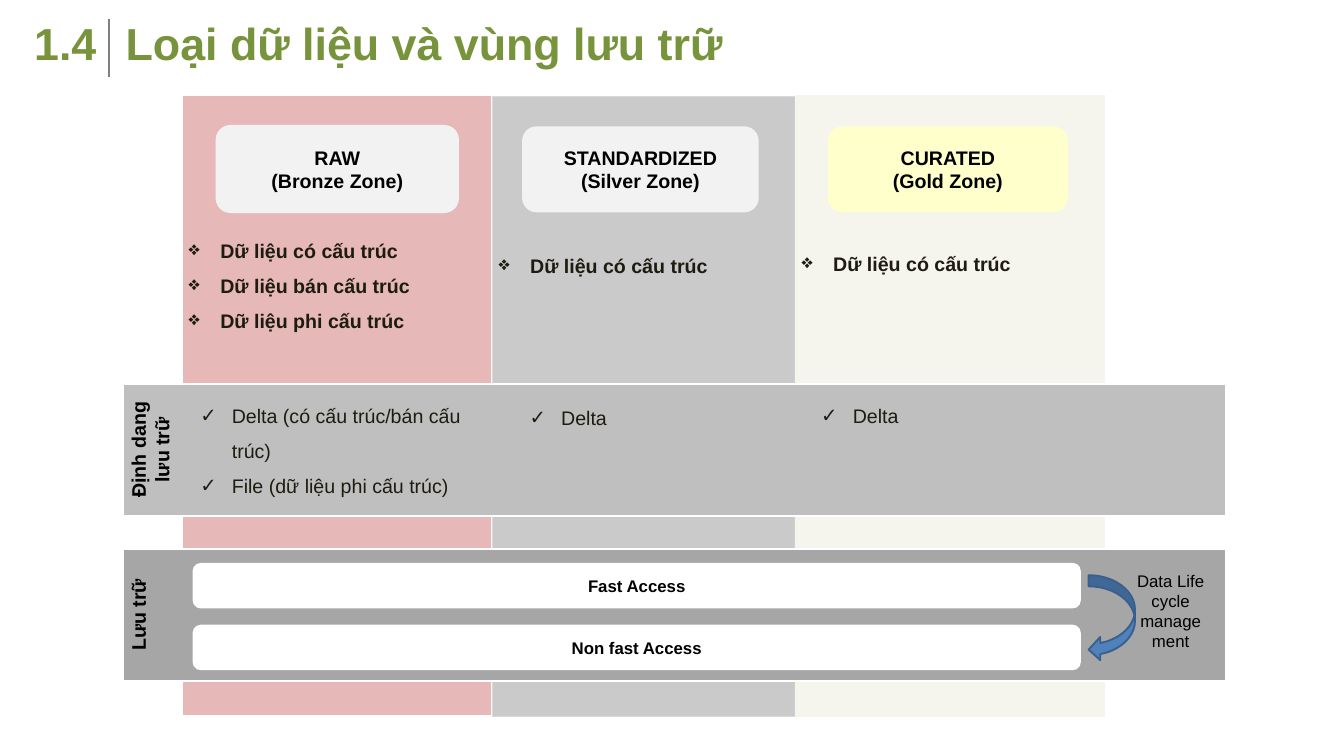
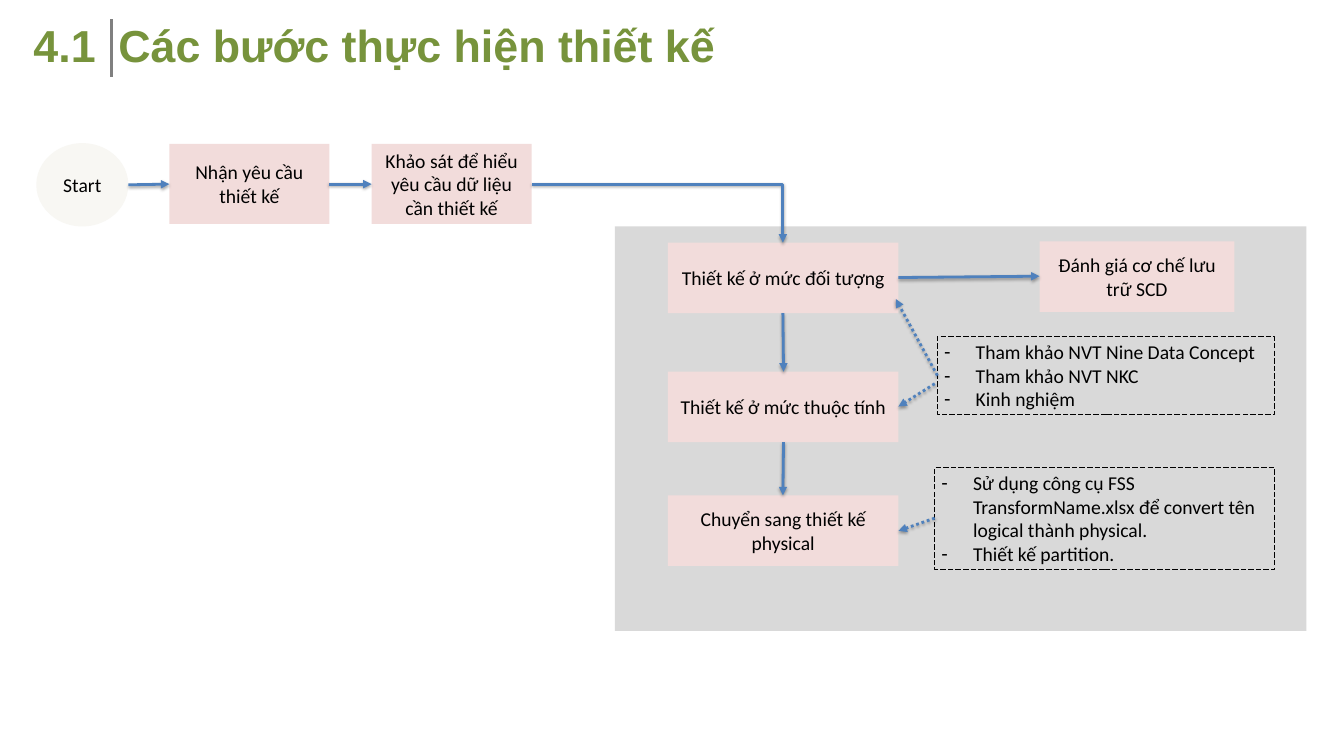
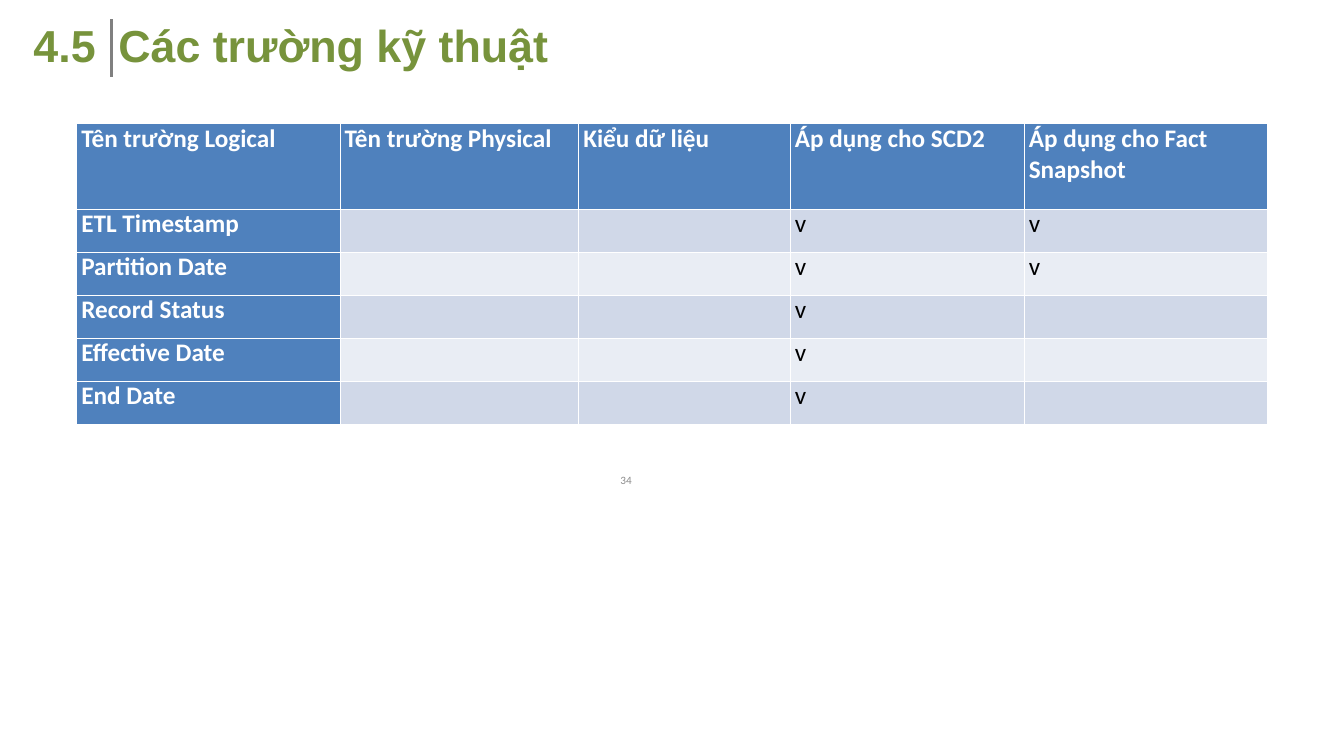
"""Build three slides on data zones, design steps and technical fields."""
from pptx import Presentation
from pptx import util as u
from pptx.dml.color import RGBColor
from pptx.enum import dml, shapes, text
from pptx.oxml import parse_xml
from pptx.oxml.ns import nsdecls, qn

rgb = RGBColor.from_string
MSO, CON = shapes.MSO_SHAPE, shapes.MSO_CONNECTOR
TOP, MIDDLE = text.MSO_ANCHOR.TOP, text.MSO_ANCHOR.MIDDLE
LEFT, CENTER, RIGHT = text.PP_ALIGN.LEFT, text.PP_ALIGN.CENTER, text.PP_ALIGN.RIGHT
GREEN, BLUE, BLACK, WHITE, INK = "77933C", "4F81BD", "000000", "FFFFFF", "1E1C11"
PINK, GREY = "F2DCDB", "808080"

prs = Presentation()
prs.slide_width, prs.slide_height = u.Inches(20), u.Inches(11.25)
unit = prs.slide_width // 20


def draw(s, kind, at, fill=None, line=None, width=2):
    """Add a shape, or a text box if kind is None, placed in grid units."""
    at = [int(v * unit) for v in at]
    if kind is None:
        return s.shapes.add_textbox(*at)
    sp = s.shapes.add_shape(kind, *at)
    sp.shadow.inherit = False
    sp.fill.background()
    sp.line.fill.background()
    if fill:
        sp.fill.solid()
        sp.fill.fore_color.rgb = rgb(fill)
    if line:
        sp.line.color.rgb = rgb(line)
        sp.line.width = u.Pt(width)
    return sp


def write(tf, words, size=21, font="Arial", color=BLACK, bold=False, align=CENTER,
          anchor=MIDDLE, bullet=None, spacing=1.0, inset=(0.1, 0.05)):
    """Fill a text frame and format its paragraphs."""
    tf.text = words
    tf.word_wrap, tf.auto_size = True, text.MSO_AUTO_SIZE.NONE
    tf.vertical_anchor = anchor
    tf.margin_left = tf.margin_right = int(inset[0] * unit)
    tf.margin_top = tf.margin_bottom = int(inset[1] * unit)
    for p in tf.paragraphs:
        p.alignment, p.line_spacing, p.space_before = align, spacing, u.Pt(0)
        if bullet:
            pPr = p._p.get_or_add_pPr()
            pPr.set("marL", str(int(0.47 * unit)))
            pPr.set("indent", str(int(-0.47 * unit)))
            pPr.append(parse_xml(f'<a:buChar {nsdecls("a")} char="{bullet}"/>'))
        for r in p.runs:
            r.font.size, r.font.name, r.font.bold = u.Pt(size), font, bold
            r.font.color.rgb = rgb(color)


slides = []
for layout, number, title, num_x, title_x, rule_x, y in [
        (4, "1.4", "Loại dữ liệu và vùng lưu trữ", 0.41, 1.77, 1.62, 0.18),
        (3, "4.1", "Các bước thực hiện thiết kế", 0.4, 1.66, 1.66, 0.22),
        (5, "4.5", "Các trường kỹ thuật", 0.4, 1.66, 1.66, 0.22)]:
    s = prs.slides.add_slide(prs.slide_layouts[layout])
    sp = s.shapes.title
    sp.left, sp.top, sp.width, sp.height = (int(v * unit) for v in (title_x, y, 18, 0.91))
    heading = dict(size=48, color=GREEN, bold=True, align=LEFT, anchor=TOP)
    write(sp.text_frame, title, **heading)
    write(draw(s, None, (num_x, y, 1.14, 0.91)).text_frame, number, **heading)
    rule = s.shapes.add_connector(CON.STRAIGHT, *(int(v * unit) for v in (rule_x, 0.29, rule_x, 1.15)))
    rule.line.color.rgb, rule.line.width = rgb(GREY), u.Pt(2.25)
    rule._element.spPr.append(parse_xml(f'<a:effectLst {nsdecls("a")}/>'))
    slides.append(s)
zones, steps, fields = slides

for at, fill, edge, width, name, badge, badge_fill, kinds, drop in [
        ((2.71, 1.41, 4.61, 9.24), "E6B9B8", WHITE, 2, "RAW\n(Bronze Zone)", (3.21, 1.86, 3.62, 1.31),
         "F2F2F2", "Dữ liệu có cấu trúc\nDữ liệu bán cấu trúc\nDữ liệu phi cấu trúc", 1.97),
        ((7.32, 1.43, 4.51, 9.23), "CACACA", "D9D9D9", 0.75, "STANDARDIZED\n(Silver Zone)",
         (7.77, 1.88, 3.52, 1.28), "F2F2F2", "Dữ liệu có cấu trúc", 2.18),
        ((11.83, 1.42, 4.61, 9.24), "F5F4ED", "F5F4ED", 0.75, "CURATED\n(Gold Zone)",
         (12.32, 1.88, 3.57, 1.28), "FFFFCC", "Dữ liệu có cấu trúc", 2.15)]:
    tf = draw(zones, MSO.RECTANGLE, at, fill, edge, width).text_frame
    write(tf, kinds, color=INK, bold=True, align=LEFT, anchor=TOP, bullet="❖", spacing=1.5)
    tf.margin_top = int(drop * unit)
    sp = draw(zones, MSO.ROUNDED_RECTANGLE, badge, badge_fill)
    write(sp.text_frame, name, bold=True, inset=(0.15, 0.07))

for name, y, height, fill in [("Lưu trữ", 8.17, 1.96, "A6A6A6"), ("Định dang lưu trữ", 5.71, 1.97, "BFBFBF")]:
    sp = draw(zones, MSO.ROUNDED_RECTANGLE, (1.83, y, 16.41, height), fill, WHITE)
    sp.adjustments[0] = 0
    write(sp.text_frame, name, bold=True, anchor=TOP)
    sp.text_frame._txBody.bodyPr.set("vert", "vert270")
for name, y in [("Fast Access", 8.39), ("Non fast Access", 9.31)]:
    sp = draw(zones, MSO.ROUNDED_RECTANGLE, (2.88, y, 13.19, 0.65), WHITE, WHITE)
    write(sp.text_frame, name, size=18, bold=True)

formats = list(zones.placeholders)[1:]
for sp, at, words in zip(formats, [(2.88, 5.78, 4.5, 1.63), (7.78, 5.81, 2.6, 0.57), (12.12, 5.79, 2.6, 0.57)],
                         ["Delta (có cấu trúc/bán cấu trúc)\nFile (dữ liệu phi cấu trúc)", "Delta", "Delta"]):
    sp.left, sp.top, sp.width, sp.height = (int(v * unit) for v in at)
    write(sp.text_frame, words, color=INK, align=LEFT, anchor=TOP, bullet="✓", spacing=1.5)
    zones.shapes._spTree.append(sp._element)
formats[3]._element.getparent().remove(formats[3]._element)

write(draw(zones, None, (16.81, 8.44, 1.22, 1.31)).text_frame, "Data Life cycle\nmanagement", size=18, anchor=TOP)
sp = draw(zones, MSO.CURVED_LEFT_ARROW, (16.2, 8.56, 0.69, 1.28), BLUE, "3A5F8C")
sp.adjustments[0], sp.adjustments[1], sp.adjustments[2] = 0.24, 0.5, 0.25

draw(steps, MSO.RECTANGLE, (9.15, 3.37, 10.29, 6.02), "D9D9D9")
sp = draw(steps, MSO.OVAL, (0.54, 2.13, 1.37, 1.24), "F8F7F3")
write(sp.text_frame, "Start", font="Calibri")
for at, words in [
        ((2.52, 2.14, 2.38, 1.19), "Nhận yêu cầu thiết kế"),
        ((5.53, 2.14, 2.38, 1.19), "Khảo sát để hiểu yêu cầu dữ liệu cần thiết kế"),
        ((9.94, 3.61, 3.43, 1.05), "Thiết kế ở mức đối tượng"),
        ((9.94, 5.53, 3.43, 1.05), "Thiết kế ở mức thuộc tính"),
        ((9.94, 7.37, 3.43, 1.05), "Chuyển sang thiết kế physical"),
        ((15.47, 3.59, 2.9, 1.05), "Đánh giá cơ chế lưu trữ SCD")]:
    sp = draw(steps, MSO.RECTANGLE, at, PINK)
    write(sp.text_frame, words, font="Calibri", inset=(0.15, 0.07))

for sp, at, words in zip(list(steps.placeholders)[1:], [(13.95, 5.01, 5.02, 1.16), (13.91, 6.96, 5.06, 1.51)], [
        "Tham khảo NVT Nine Data Concept\nTham khảo NVT NKC\nKinh nghiệm",
        "Sử dụng công cụ FSS TransformName.xlsx để convert tên logical thành physical.\nThiết kế partition."]):
    sp.left, sp.top, sp.width, sp.height = (int(v * unit) for v in at)
    sp.line.color.rgb, sp.line.width = rgb(BLACK), u.Pt(0.75)
    sp.line.dash_style = dml.MSO_LINE.LONG_DASH
    write(sp.text_frame, words, font="Calibri", align=LEFT, anchor=TOP, bullet="-")
    steps.shapes._spTree.append(sp._element)

SHADOW = (f'<a:effectLst {nsdecls("a")}><a:outerShdw blurRad="40000" dist="23000" dir="5400000" rotWithShape="0">'
          '<a:srgbClr val="000000"><a:alpha val="35000"/></a:srgbClr></a:outerShdw></a:effectLst>')
for ends, style in [
        ((1.91, 2.75, 2.52, 2.74), "solid"), ((4.9, 2.74, 5.53, 2.74), "solid"),
        ((7.92, 2.74, 11.65, 3.61), "bent"), ((11.65, 4.66, 11.66, 5.53), "solid"),
        ((11.66, 6.58, 11.65, 7.37), "solid"), ((13.37, 4.13, 15.47, 4.11), "solid"),
        ((13.95, 5.59, 13.33, 4.45), "dotted"), ((13.91, 5.71, 13.37, 6.05), "dotted"),
        ((13.91, 7.71, 13.37, 7.9), "dotted")]:
    arrow = steps.shapes.add_connector(CON.STRAIGHT, *(int(v * unit) for v in ends))
    arrow.line.color.rgb, arrow.line.width = rgb(BLUE), u.Pt(3)
    spPr = arrow._element.spPr
    if style == "bent":
        spPr.find(qn("a:prstGeom")).set("prst", "bentConnector2")
    if style == "dotted":
        arrow.line.dash_style = dml.MSO_LINE.ROUND_DOT
    spPr.find(qn("a:ln")).append(parse_xml(f'<a:tailEnd {nsdecls("a")} type="triangle"/>'))
    spPr.append(parse_xml(SHADOW))

rows = [
    ["Tên trường Logical", "Tên trường Physical", "Kiểu dữ liệu", "Áp dụng cho SCD2", "Áp dụng cho Fact Snapshot"],
    ["ETL Timestamp", "", "", "v", "v"],
    ["Partition Date", "", "", "v", "v"],
    ["Record Status", "", "", "v", ""],
    ["Effective Date", "", "", "v", ""],
    ["End Date", "", "", "v", ""]]
table = fields.shapes.add_table(6, 5, *(int(v * unit) for v in (1.14, 1.84, 17.72, 4.47))).table
table.first_col = True
for column, width in zip(table.columns, [3.92, 3.55, 3.15, 3.48, 3.62]):
    column.width = int(width * unit)
for i, row in enumerate(rows):
    table.rows[i].height = int((0.64 if i else 1.27) * unit)
    for j, words in enumerate(row):
        cell = table.cell(i, j)
        head = i == 0 or j == 0
        cell.fill.solid()
        cell.fill.fore_color.rgb = rgb(BLUE if head else "D0D8E8" if i % 2 else "E9EDF4")
        cell.margin_left = cell.margin_right = int(0.07 * unit)
        cell.margin_top = cell.margin_bottom = 0
        cell.text = words
        for r in cell.text_frame.paragraphs[0].runs:
            r.font.size, r.font.name, r.font.bold = u.Pt(27), "Calibri", head
            r.font.color.rgb = rgb(WHITE if head else BLACK)
write(draw(fields, None, (7.17, 6.95, 2.33, 0.4)).text_frame, "34", size=12, font="Calibri",
      color="8C8C8C", align=RIGHT)

prs.save("out.pptx")
